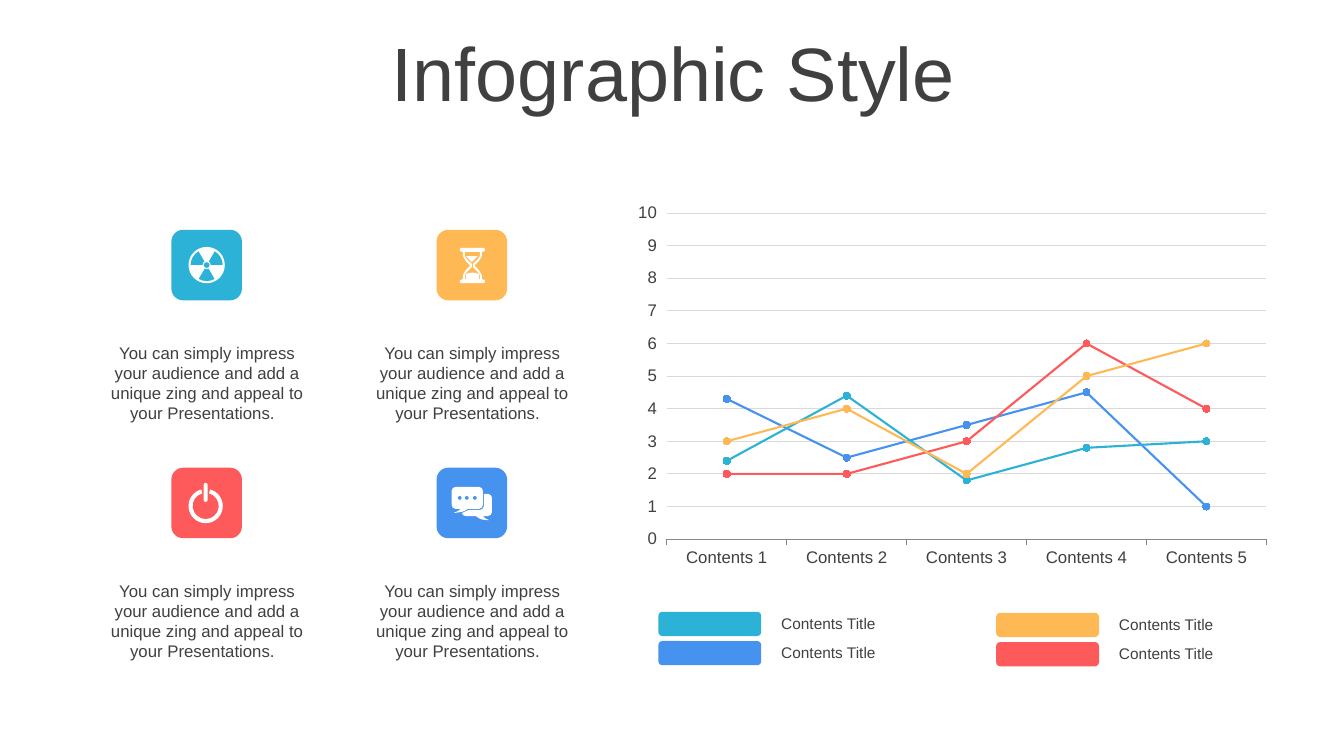
from dataclasses import dataclass
from math import ceil, cos, radians, sin, tan
from typing import Any

from pptx import Presentation
from pptx.chart.data import CategoryChartData
from pptx.dml.color import RGBColor
from pptx.enum.chart import XL_CHART_TYPE as ChartType, XL_MARKER_STYLE as Marker
from pptx.enum.chart import XL_TICK_MARK as Tick
from pptx.enum.shapes import MSO_SHAPE as Preset
from pptx.enum.text import MSO_ANCHOR as Anchor, MSO_AUTO_SIZE as AutoSize, PP_ALIGN as Align
from pptx.oxml.ns import qn
from pptx.util import Inches, Pt

Point = tuple[float, float]
Contour = list[tuple[Point, ...]]  # one point for a line, three for a curve

TEAL, ORANGE, RED, BLUE = "2CB2D7", "FFB954", "FE5A5B", "4592EF"
WHITE, INK, GRID, AXIS = "FFFFFF", "404040", "D9D9D9", "868686"
CAPTION = ("You can simply impress your audience and add a unique zing "
           "and appeal to your Presentations.  ")


@dataclass
class Feature:
    left: float
    top: float
    color: str
    icon: list[Contour]


@dataclass
class Series:
    name: str
    color: str
    values: tuple[float, ...]


def rgb(color: str) -> RGBColor:
    return RGBColor.from_string(color)


def assign(target: Any, values: dict[str, Any]) -> None:
    for name, value in values.items():
        setattr(target, name, value)


def format_font(font: Any, size: float) -> None:
    assign(font, {"name": "Arial", "size": Pt(size)})
    font.color.rgb = rgb(INK)


def paint(shape: Any, color: str) -> None:
    shape.shadow.inherit = False
    shape.fill.solid()
    shape.fill.fore_color.rgb = rgb(color)
    shape.line.fill.background()


def add_block(page: Any, left: float, top: float, width: float, height: float,
              color: str) -> None:
    paint(page.shapes.add_shape(Preset.ROUNDED_RECTANGLE, Inches(left), Inches(top),
                                Inches(width), Inches(height)), color)


def add_label(page: Any, left: float, top: float, width: float, height: float,
              text: str, size: float, align: Align) -> None:
    box = page.shapes.add_textbox(Inches(left), Inches(top), Inches(width), Inches(height))
    assign(box.text_frame, {"word_wrap": True, "auto_size": AutoSize.SHAPE_TO_FIT_TEXT})
    para = box.text_frame.paragraphs[0]
    para.alignment = align
    span = para.add_run()
    span.text = text
    format_font(span.font, size)


def line(*points: Point) -> Contour:
    return [(point,) for point in points]


def arc(x: float, y: float, radius: float, start: float, end: float) -> Contour:
    """Curves along a circle, with angles in degrees clockwise from the right."""
    count = ceil(abs(end - start) / 90)
    step = radians(end - start) / count
    pull = 4 / 3 * tan(step / 4)
    nodes = line((x + radius * cos(radians(start)), y + radius * sin(radians(start))))
    for index in range(count):
        a = radians(start) + index * step
        b = a + step
        nodes.append(((x + radius * (cos(a) - pull * sin(a)), y + radius * (sin(a) + pull * cos(a))),
                      (x + radius * (cos(b) + pull * sin(b)), y + radius * (sin(b) - pull * cos(b))),
                      (x + radius * cos(b), y + radius * sin(b))))
    return nodes


def sector(x: float, y: float, inner: float, outer: float, start: float, end: float) -> Contour:
    return arc(x, y, outer, start, end) + arc(x, y, inner, end, start)


def mirror(x: float, y: float, *quarter: Point) -> Contour:
    """Complete the upper right quarter of an outline around its centre."""
    right = [*quarter, *((px, 2 * y - py) for px, py in reversed(quarter))]
    return line(*right, *((2 * x - px, py) for px, py in reversed(right)))


RADIATION = [arc(2.05, 2.63, 0.18, 0, 360), arc(2.05, 2.63, 0.03, 0, 360),
             *(sector(2.05, 2.63, 0.04, 0.16, start, start + 60) for start in (60, 180, 300))]
POWER = [sector(2.04, 5.02, 0.13, 0.17, -75, 255),
         arc(2.04, 4.81, 0.02, 180, 360) + arc(2.04, 4.96, 0.02, 0, 180)]
HOURGLASS = [
    mirror(4.685, 2.635, (4.8, 2.46), (4.81, 2.47), (4.81, 2.49), (4.78, 2.5),
           (4.78, 2.54), (4.75, 2.59), (4.71, 2.63)),
    mirror(4.685, 2.635, (4.76, 2.5), (4.76, 2.54), (4.74, 2.57), (4.69, 2.62)),
    line((4.62, 2.54), (4.74, 2.54), (4.68, 2.6)),
    line((4.62, 2.77), (4.62, 2.72)) + [((4.65, 2.7), (4.72, 2.7), (4.75, 2.72))]
    + line((4.75, 2.77))]
CHAT = [
    arc(4.52, 4.87, 0.04, 180, 270) + arc(4.75, 4.87, 0.04, 270, 360)
    + arc(4.75, 5.01, 0.04, 0, 90) + line((4.64, 5.05))
    + [((4.6, 5.08), (4.58, 5.08), (4.5, 5.09)), ((4.54, 5.07), (4.55, 5.07), (4.57, 5.05))]
    + arc(4.52, 5.01, 0.04, 90, 180),
    line((4.8, 4.9)) + arc(4.84, 4.94, 0.04, 270, 360) + arc(4.84, 5.08, 0.04, 0, 90)
    + line((4.79, 5.12))
    + [((4.8, 5.13), (4.8, 5.14), (4.85, 5.16)), ((4.77, 5.16), (4.76, 5.15), (4.72, 5.12))]
    + arc(4.62, 5.08, 0.04, 90, 165) + line((4.65, 5.06)) + arc(4.76, 5.02, 0.04, 90, 0),
    *(arc(x, 4.94, 0.02, 0, 360) for x in (4.56, 4.63, 4.71))]


def add_icon(page: Any, icon: list[Contour]) -> None:
    """Draw the corners as a freeform, then join each three-point node into a curve."""
    builder = page.shapes.build_freeform(*map(Inches, icon[0][0][0]))
    for index, (first, *rest) in enumerate(icon):
        if index:
            builder.move_to(*map(Inches, first[0]))
        builder.add_line_segments([(Inches(x), Inches(y)) for node in rest for x, y in node])
        builder.add_line_segments([], close=True)
    shape = builder.convert_to_shape()
    paint(shape, WHITE)
    segments = iter(list(shape._element.iter(qn("a:lnTo"))))
    for node in (node for contour in icon for node in contour[1:]):
        segment = next(segments)
        for _ in node[1:]:
            extra = next(segments)
            segment.append(extra[0])
            extra.getparent().remove(extra)
            segment.tag = qn("a:cubicBezTo")


def add_line_chart(page: Any, rows: list[Series]) -> None:
    data = CategoryChartData()
    data.categories = [f"Contents {number}" for number in range(1, 6)]
    for row in rows:
        data.add_series(row.name, row.values)
    chart = page.shapes.add_chart(ChartType.LINE_MARKERS, Inches(6.2), Inches(1.95),
                                  Inches(6.49), Inches(3.75), data).chart
    chart.has_legend = chart.has_title = False
    format_font(chart.font, 12)
    for axis in (chart.category_axis, chart.value_axis):
        axis.major_tick_mark = Tick.OUTSIDE
        format_font(axis.tick_labels.font, 12)
    chart.category_axis.format.line.color.rgb = rgb(AXIS)
    assign(chart.value_axis, {"minimum_scale": 0, "maximum_scale": 10, "major_unit": 1})
    chart.value_axis.format.line.fill.background()
    grid = chart.value_axis.major_gridlines.format.line
    grid.color.rgb, grid.width = rgb(GRID), Pt(0.75)
    chart.plots[0].vary_by_categories = False
    for series, row in zip(chart.plots[0].series, rows):
        series.smooth = False
        series.format.line.width = Pt(1.5)
        series.marker.style, series.marker.size = Marker.CIRCLE, 5
        series.marker.format.fill.solid()
        for ink in (series.format.line, series.marker.format.line):
            ink.color.rgb = rgb(row.color)
        series.marker.format.fill.fore_color.rgb = rgb(row.color)


def add_title(page: Any, text: str) -> None:
    title = page.shapes.title
    assign(title, {"left": Inches(0.35), "top": Inches(0.37),
                   "width": Inches(12.66), "height": Inches(0.79)})
    title.text_frame.text = text
    assign(title.text_frame, {"vertical_anchor": Anchor.MIDDLE, "auto_size": AutoSize.NONE})
    para = title.text_frame.paragraphs[0]
    assign(para, {"alignment": Align.CENTER, "line_spacing": 0.9})
    format_font(para.runs[0].font, 54)


def main() -> None:
    deck = Presentation()
    deck.slide_width, deck.slide_height = Inches(13.33), Inches(7.5)
    page = deck.slides.add_slide(deck.slide_layouts[5])
    add_title(page, "Infographic Style")
    add_line_chart(page, [Series("Series 1", BLUE, (4.3, 2.5, 3.5, 4.5, 1)),
                          Series("Series 2", TEAL, (2.4, 4.4, 1.8, 2.8, 3)),
                          Series("Series 3", RED, (2, 2, 3, 6, 4)),
                          Series("Series 4", ORANGE, (3, 4, 2, 5, 6))])
    for left, top, color in ((6.53, 6.07, TEAL), (9.88, 6.08, ORANGE),
                             (6.53, 6.36, BLUE), (9.88, 6.37, RED)):
        add_block(page, left, top, 1.02, 0.24, color)
        add_label(page, left + 1.12, top - 0.03, 1.36, 0.29, "Contents Title", 11, Align.LEFT)
    for item in (Feature(1.7, 2.28, TEAL, RADIATION), Feature(1.7, 4.64, RED, POWER),
                 Feature(4.33, 2.28, ORANGE, HOURGLASS), Feature(4.33, 4.64, BLUE, CHAT)):
        add_block(page, item.left, item.top, 0.7, 0.7, item.color)
        add_label(page, item.left - 0.73, item.top + 1.07, 2.17, 0.91, CAPTION, 12, Align.CENTER)
        add_icon(page, item.icon)
    deck.save("out.pptx")


if __name__ == "__main__":
    main()
